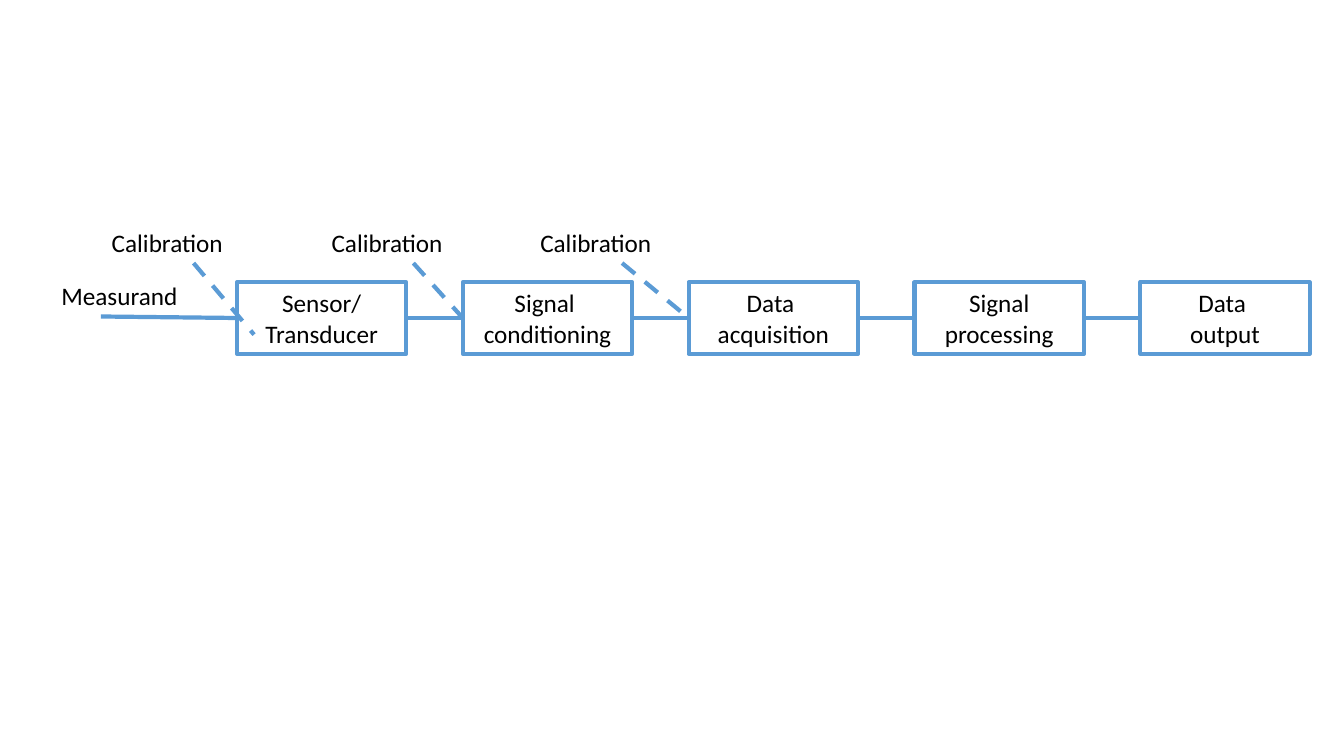
from lxml.etree import SubElement
from pptx import Presentation
from pptx.dml.color import RGBColor
from pptx.enum.dml import MSO_LINE
from pptx.enum.shapes import MSO_CONNECTOR, MSO_SHAPE
from pptx.enum.text import MSO_ANCHOR, PP_ALIGN
from pptx.oxml.ns import qn
from pptx.util import Inches, Pt

BLUE = RGBColor(0x5B, 0x9B, 0xD5)
BLACK = RGBColor(0, 0, 0)
STAGES = ["Sensor/\vTransducer", "Signal \nconditioning", "Data \nacquisition",
          "Signal\nprocessing", "Data \noutput"]
BOX_W, BOX_H, PITCH = 1.68, 0.71, 2.24
TOP, RIGHT, LEFT = 0, 3, 1


def write(tf, text, align):
    """Fill a text frame with black 18 pt Calibri."""
    tf.word_wrap = True
    tf.text = text
    for p in tf.paragraphs:
        p.alignment = align
        for r in p.runs:
            r.font.name = "Calibri"
            r.font.size = Pt(18)
            r.font.color.rgb = BLACK


def add_label(s, text, x, y, w):
    """Place a one-line label at x, y."""
    tb = s.shapes.add_textbox(Inches(x), Inches(y), Inches(w), Inches(0.4))
    write(tb.text_frame, text, PP_ALIGN.LEFT)


def add_line(s, x1, y1, x2, y2):
    """Draw a blue 3 pt connector without a shadow."""
    line = s.shapes.add_connector(MSO_CONNECTOR.STRAIGHT, Inches(x1), Inches(y1),
                                  Inches(x2), Inches(y2))
    line.line.color.rgb = BLUE
    line.line.width = Pt(3)
    SubElement(line._element.spPr, qn("a:effectLst"))
    return line


def add_stage(s, text, x, y):
    """Draw one outlined stage of the chain."""
    box = s.shapes.add_shape(MSO_SHAPE.RECTANGLE, Inches(x), Inches(y),
                             Inches(BOX_W), Inches(BOX_H))
    box.shadow.inherit = False
    box.fill.background()
    box.line.color.rgb = BLUE
    box.line.width = Pt(3)
    box.text_frame.vertical_anchor = MSO_ANCHOR.MIDDLE
    write(box.text_frame, text, PP_ALIGN.CENTER)
    return box


def add_chain(s, x, y):
    """Draw the five stages and the lines that join them."""
    boxes = [add_stage(s, text, x + i * PITCH, y) for i, text in enumerate(STAGES)]
    mid = y + BOX_H / 2
    for i, (a, b) in enumerate(zip(boxes, boxes[1:])):
        left = x + i * PITCH + BOX_W
        line = add_line(s, left, mid, x + (i + 1) * PITCH, mid)
        line.begin_connect(a, RIGHT)
        line.end_connect(b, LEFT)
    return boxes


def add_measurand(s, x, y, sensor):
    """Label the input and lead it into the sensor."""
    add_label(s, "Measurand", x, y, 1.39)
    line = add_line(s, x + 0.49, y + 0.41, x + 1.84, y + 0.43)
    line.end_connect(sensor, LEFT)


def add_calibration(s, x, y, dx, dy, target=None):
    """Label a calibration input and draw its dashed line."""
    add_label(s, "Calibration", x, y, 1.82)
    start_x, start_y = x + 0.91, y + 0.4
    line = add_line(s, start_x, start_y, start_x + dx, start_y + dy)
    line.line.dash_style = MSO_LINE.DASH
    if target is not None:
        line.end_connect(target, LEFT)


def main():
    """Build the measurement chain slide."""
    prs = Presentation()
    prs.slide_width, prs.slide_height = Inches(13.33), Inches(7.5)
    s = prs.slides.add_slide(prs.slide_layouts[6])
    boxes = add_chain(s, 2.35, 2.8)
    sensor, conditioning, acquisition = boxes[:3]
    add_measurand(s, 0.51, 2.73, sensor)
    add_calibration(s, 1.01, 2.21, 0.6, 0.71)
    add_calibration(s, 3.19, 2.21, 0.49, 0.55, conditioning)
    add_calibration(s, 5.26, 2.21, 0.68, 0.56, acquisition)
    prs.save("out.pptx")


if __name__ == "__main__":
    main()
